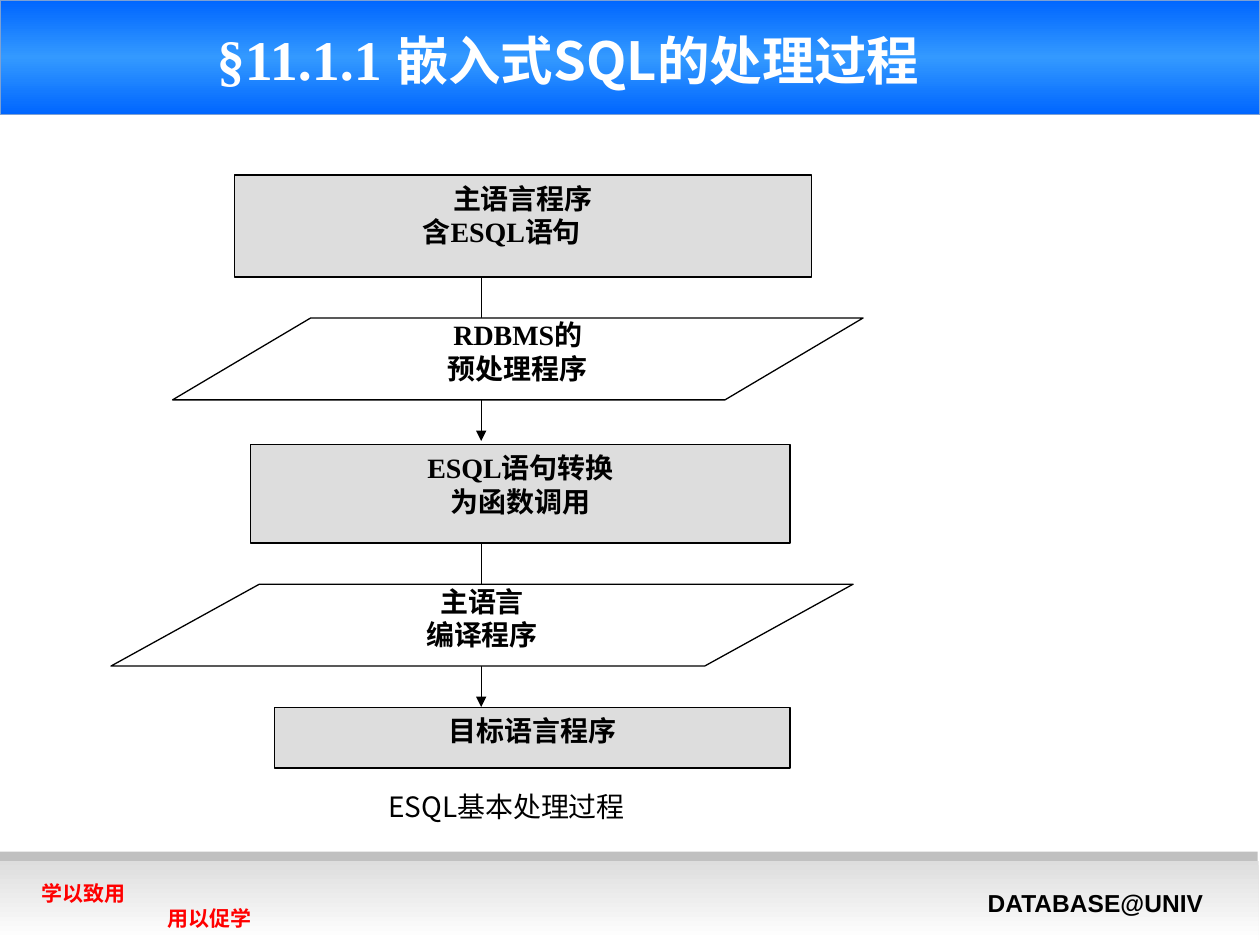
"""Build a slide showing how embedded SQL is processed."""
import copy
from dataclasses import dataclass

import lxml.etree
import pptx
import pptx.dml.color
import pptx.enum.shapes
import pptx.enum.text
import pptx.oxml.ns
import pptx.util

Pt = pptx.util.Pt
qn = pptx.oxml.ns.qn
Preset = pptx.enum.shapes.MSO_SHAPE
Align = pptx.enum.text.PP_ALIGN
Anchor = pptx.enum.text.MSO_ANCHOR
SANS, SERIF, ASIAN = "Arial", "Times New Roman", "Noto Sans CJK SC"


@dataclass
class Step:
    left: float
    top: float
    width: float
    height: float
    lines: list[str]
    is_program: bool = False
    second_indent: float = 0


STEPS = [
    Step(133.9, 100, 329.8, 58.3, ["主语言程序", "含ESQL语句"], second_indent=100.5),
    Step(98.6, 181.7, 394.6, 46.8, ["RDBMS的", "预处理程序"], True),
    Step(143.3, 254, 308.2, 56.2, ["ESQL语句转换", "为函数调用"]),
    Step(63.4, 333.8, 424.1, 46.8, ["主语言", "编译程序"], True),
    Step(157, 404.3, 294.5, 34.6, ["目标语言程序"]),
]
ARROWS = [(146.9, 252), (298.8, 404)]
ARROW_X = 275


def color(value: str) -> pptx.dml.color.RGBColor:
    return pptx.dml.color.RGBColor.from_string(value)


def add_text(paragraph, text: str, *, size: float, font: str, fill: str = "000000",
             bold: bool = True, align=Align.CENTER, indent: float = 0) -> None:
    run = paragraph.add_run()
    run.text = text
    run.font.size = Pt(size)
    run.font.name = font
    run.font.bold = bold
    run.font.color.rgb = color(fill)
    east_asian = lxml.etree.SubElement(run.font._element, qn("a:ea"))
    east_asian.set("typeface", ASIAN)
    paragraph.alignment = align
    if indent:
        properties = paragraph._p.get_or_add_pPr()
        properties.set("marL", str(Pt(indent)))
        properties.set("indent", "0")


def add_shape(slide, preset, box: tuple, fills: list[str], line: str | None = None):
    shape = slide.shapes.add_shape(preset, *map(Pt, box))
    shape.shadow.inherit = False
    if len(fills) == 1:
        shape.fill.solid()
        shape.fill.fore_color.rgb = color(fills[0])
    else:
        shape.fill.gradient()
        shape.fill.gradient_angle = 270
        stop_list = shape._element.spPr.find(".//" + qn("a:gsLst"))
        for _ in fills[2:]:
            stop_list.append(copy.deepcopy(stop_list[0]))
        for index, (stop, value) in enumerate(zip(shape.fill.gradient_stops, fills)):
            stop.position = index / (len(fills) - 1)
            stop.color.rgb = color(value)
    if line:
        shape.line.color.rgb = color(line)
        shape.line.width = Pt(0.75)
    else:
        shape.line.fill.background()
    return shape


def set_frame(shape, anchor=Anchor.TOP, tight: bool = False):
    frame = shape.text_frame
    frame.word_wrap = True
    frame.vertical_anchor = anchor
    if tight:
        frame.margin_left = frame.margin_right = Pt(2.9)
        frame.margin_top = frame.margin_bottom = 0
    return frame


def add_text_box(slide, *box: float, anchor=Anchor.TOP):
    return set_frame(slide.shapes.add_textbox(*map(Pt, box)), anchor)


def add_arrow(slide, top: float, bottom: float) -> None:
    arrow = slide.shapes.add_connector(
        pptx.enum.shapes.MSO_CONNECTOR.STRAIGHT,
        Pt(ARROW_X), Pt(top), Pt(ARROW_X), Pt(bottom))
    arrow.line.color.rgb = color("000000")
    arrow.line.width = Pt(0.75)
    head = lxml.etree.SubElement(arrow.line._get_or_add_ln(), qn("a:tailEnd"))
    head.set("type", "triangle")
    lxml.etree.SubElement(arrow._element.spPr, qn("a:effectLst"))


def add_step(slide, step: Step) -> None:
    preset = Preset.FLOWCHART_DATA if step.is_program else Preset.FLOWCHART_PROCESS
    fill = "FFFFFF" if step.is_program else "DDDDDD"
    box = (step.left, step.top, step.width, step.height)
    frame = set_frame(add_shape(slide, preset, box, [fill], "000000"),
                      tight=step.is_program)
    for index, line in enumerate(step.lines):
        paragraph = frame.add_paragraph() if index else frame.paragraphs[0]
        indent = step.second_indent if index else 0
        add_text(paragraph, line, size=16, font=SERIF, indent=indent,
                 align=Align.LEFT if indent else Align.CENTER)


def add_frame_of_slide(slide) -> None:
    add_shape(slide, Preset.RECTANGLE, (0, 0, 720, 65.5),
              ["0066FF", "3399FF", "0066FF"], "7DA0D3")
    add_shape(slide, Preset.RECTANGLE, (0, 486.7, 718.6, 20.9), ["C0C0C0"])
    add_shape(slide, Preset.RECTANGLE, (0, 491.8, 719.3, 45.3), ["DDDDDD", "FFFFFF"])
    motto = add_text_box(slide, 16.6, 499.7, 144, 36)
    motto_style = dict(size=12, font=SANS, fill="FF0000", align=Align.LEFT)
    add_text(motto.paragraphs[0], "学以致用", **motto_style)
    add_text(motto.add_paragraph(), "用以促学", indent=72, **motto_style)
    course = add_text_box(slide, 557.3, 504, 150.5, 24)
    add_text(course.paragraphs[0], "DATABASE@UNIV", size=14, font=SANS, align=Align.LEFT)
    title = add_text_box(slide, 0, 0, 649.4, 66.2, anchor=Anchor.MIDDLE).paragraphs[0]
    add_text(title, "§11.1.1 ", size=32, font=SERIF, fill="FFFFFF")
    add_text(title, "嵌入式SQL的处理过程", size=30, font=ASIAN, fill="FFFFFF")


def main() -> None:
    presentation = pptx.Presentation()
    presentation.slide_width, presentation.slide_height = Pt(720), Pt(540)
    slide = presentation.slides.add_slide(presentation.slide_layouts[6])
    add_frame_of_slide(slide)
    for top, bottom in ARROWS:
        add_arrow(slide, top, bottom)
    for step in STEPS:
        add_step(slide, step)
    caption = add_shape(slide, Preset.RECTANGLE, (59.8, 451.4, 459.4, 23), ["FFFFFF"])
    add_text(set_frame(caption, tight=True).paragraphs[0], "ESQL基本处理过程",
             size=16, font=ASIAN, bold=False)
    presentation.save("out.pptx")


main()
